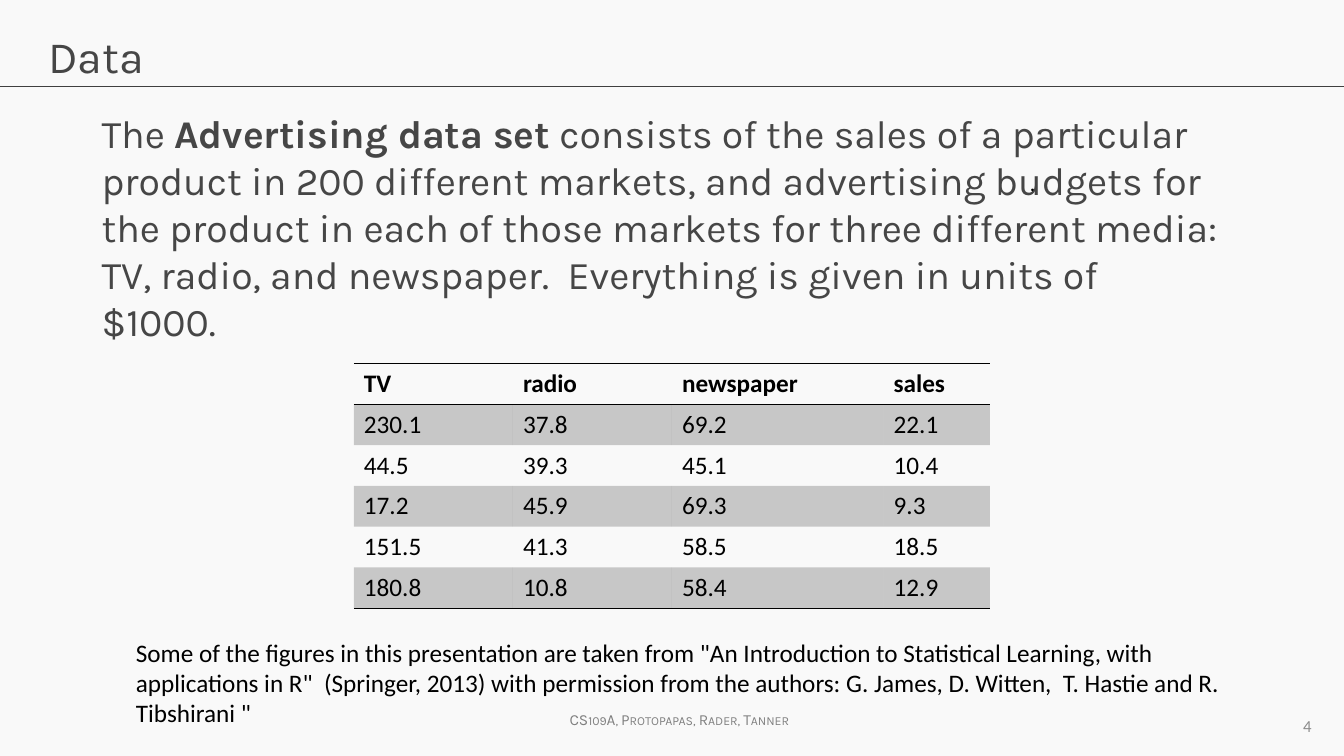
from lxml.etree import SubElement
from pptx import Presentation
from pptx.dml.color import RGBColor
from pptx.enum.shapes import MSO_CONNECTOR as Connector
from pptx.enum.text import MSO_ANCHOR as Anchor, PP_ALIGN as Align
from pptx.oxml.ns import qn
from pptx.util import Pt

INK = "464646"
BLACK = "000000"
ADVERTISING = [
    ["TV", "radio", "newspaper", "sales"],
    ["230.1", "37.8", "69.2", "22.1"],
    ["44.5", "39.3", "45.1", "10.4"],
    ["17.2", "45.9", "69.3", "9.3"],
    ["151.5", "41.3", "58.5", "18.5"],
    ["180.8", "10.8", "58.4", "12.9"],
]
COLUMN_WIDTHS = [113.6, 113.6, 151.2, 76]
ROW_HEIGHT = 29.15


def colour(hex_code):
    return RGBColor.from_string(hex_code)


def write(paragraph, text, size=18, font="Calibri", ink=BLACK, bold=False,
          align=Align.LEFT, small_caps=False):
    paragraph.alignment = align
    run = paragraph.add_run()
    run.text = text
    run.font.size = Pt(size)
    run.font.name = font
    run.font.bold = bold
    run.font.color.rgb = colour(ink)
    if small_caps:
        run.font._element.set("cap", "small")


def add_text(slide, left, top, width, height, pieces, wrap=True,
             anchor=Anchor.TOP, **style):
    box = slide.shapes.add_textbox(Pt(left), Pt(top), Pt(width), Pt(height))
    frame = box.text_frame
    frame.word_wrap = wrap
    frame.vertical_anchor = anchor
    for text, bold in pieces:
        write(frame.paragraphs[0], text, bold=bold, **style)


def add_rule(slide, y, width):
    rule = slide.shapes.add_connector(Connector.STRAIGHT, Pt(0), Pt(y), Pt(width), Pt(y))
    rule.line.color.rgb = colour("404040")
    rule.line.width = Pt(0.75)
    SubElement(rule._element.spPr, qn("a:effectLst"))


def set_borders(cell, ruled_edges):
    properties = cell._tc.get_or_add_tcPr()
    for edge in "LRTB":
        if edge in ruled_edges:
            border = SubElement(properties, qn(f"a:ln{edge}"), w=str(Pt(1)))
            paint = SubElement(border, qn("a:solidFill"))
            SubElement(paint, qn("a:srgbClr"), val=BLACK)
        else:
            border = SubElement(properties, qn(f"a:ln{edge}"), w="0")
            SubElement(border, qn("a:noFill"))


def shade(cell, banded):
    if not banded:
        cell.fill.background()
        return
    cell.fill.solid()
    cell.fill.fore_color.rgb = colour(BLACK)
    tint = cell._tc.tcPr.find(qn("a:solidFill")).find(qn("a:srgbClr"))
    SubElement(tint, qn("a:alpha"), val="20000")


def add_data_table(slide, left, top, rows, widths):
    frame = slide.shapes.add_table(len(rows), len(widths), Pt(left), Pt(top),
                                   Pt(sum(widths)), Pt(ROW_HEIGHT * len(rows)))
    table = frame.table
    table.first_row = False
    table.horz_banding = False
    for column, width in zip(table.columns, widths):
        column.width = Pt(width)
    last = len(rows) - 1
    edges = {0: "TB", 1: "T", last: "B"}
    for r, values in enumerate(rows):
        table.rows[r].height = Pt(ROW_HEIGHT)
        for c, value in enumerate(values):
            cell = table.cell(r, c)
            set_borders(cell, edges.get(r, ""))
            shade(cell, r % 2 == 1)
            write(cell.text_frame.paragraphs[0], value, bold=r == 0)


def main():
    deck = Presentation()
    deck.slide_width, deck.slide_height = Pt(960), Pt(540)
    slide = deck.slides.add_slide(deck.slide_layouts[6])
    slide.background.fill.solid()
    slide.background.fill.fore_color.rgb = colour("F9F9F9")

    add_rule(slide, 62, 960)
    add_text(slide, 395.3, 504, 180, 21, [("CS109A, Protopapas, Rader, Tanner", False)],
             wrap=False, size=11, font="Karla", ink="808080",
             align=Align.CENTER, small_caps=True)
    add_text(slide, 27.5, 17.3, 905, 60.5, [("Data", False)], size=32, font="Karla", ink=INK)
    add_data_table(slide, 252.8, 259.6, ADVERTISING, COLUMN_WIDTHS)
    add_text(slide, 720, 504, 224, 28.8, [("4", False)], anchor=Anchor.MIDDLE,
             size=12, ink="8C8C8C", align=Align.RIGHT)
    add_text(slide, 728.6, 115.2, 18, 51, [(",", False)], wrap=False,
             font="Karla", align=Align.CENTER)
    add_text(slide, 65.5, 74.2, 813, 166.3, [
        ("The ", False),
        ("Advertising data set", True),
        (" consists of the sales of a particular product in 200 different markets, "
         "and advertising budgets for the product in each of those markets for three "
         "different media: TV, radio, and newspaper.  Everything is given in units of "
         "$1000.", False),
    ], size=28, font="Karla", ink=INK)
    add_text(slide, 90, 451.4, 825, 94.3, [
        ('Some of the figures in this presentation are taken from "An Introduction to '
         'Statistical Learning, with applications in R"  (Springer, 2013) with permission '
         'from the authors: G. James, D. Witten,  T. Hastie and R. Tibshirani "', False),
    ])
    deck.save("out.pptx")


if __name__ == "__main__":
    main()
